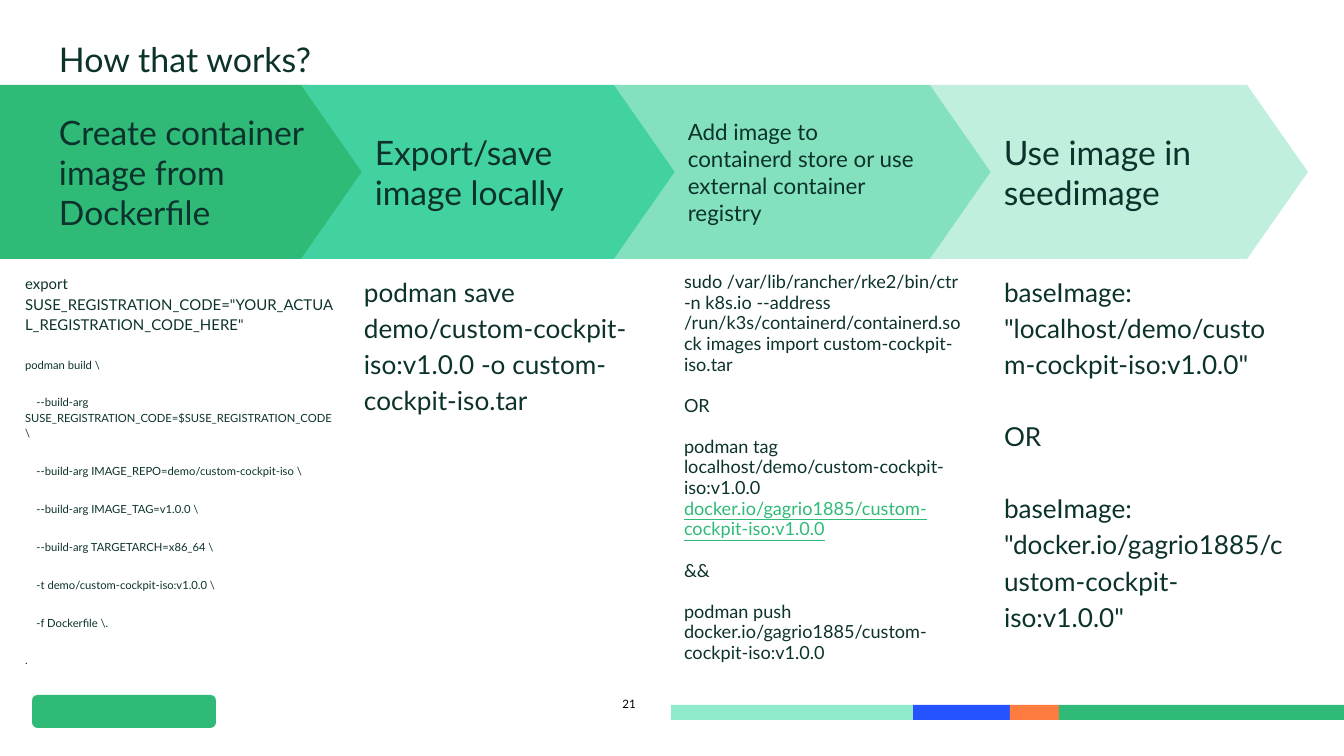
import pptx
import pptx.util
import pptx.dml.color
import pptx.enum.shapes
import pptx.enum.text

PX = 914400 / 134.4
INSET = 13
COLORS = {
    "ink": "0C322C", "black": "000000", "green": "30BA78", "jade": "42D29F",
    "mint": "83E1BE", "pale": "C0EFDE", "aqua": "90EBCD", "blue": "2453FF",
    "orange": "FE7C3F",
}
SHAPES = pptx.enum.shapes.MSO_SHAPE
ALIGN = pptx.enum.text.PP_ALIGN
ANCHOR = pptx.enum.text.MSO_ANCHOR

deck = pptx.Presentation()
deck.slide_width, deck.slide_height = round(1344 * PX), round(756 * PX)
page = deck.slides.add_slide(deck.slide_layouts[6])


def add_block(left, top, width, height, kind=None, color=None):
    """Add a filled preset shape, or a plain text box when no kind is given."""
    frame = [round(value * PX) for value in (left, top, width, height)]
    if kind is None:
        block = page.shapes.add_textbox(*frame)
    else:
        block = page.shapes.add_shape(kind, *frame)
        block.shadow.inherit = False
        block.fill.solid()
        block.fill.fore_color.rgb = pptx.dml.color.RGBColor.from_string(COLORS[color])
        block.line.fill.background()
    return block


def write(block, paragraphs, spacing=1.0, gap=0, anchor=ANCHOR.TOP, align=ALIGN.LEFT):
    """Fill a block with paragraphs, each a list of (text, size, color) runs."""
    box = block.text_frame
    box.word_wrap = True
    box.vertical_anchor = anchor
    box.margin_left = box.margin_right = round(INSET * PX)
    box.margin_top = box.margin_bottom = round(INSET * PX)
    for index, runs in enumerate(paragraphs):
        para = box.add_paragraph() if index else box.paragraphs[0]
        para.alignment = align
        para.line_spacing = spacing
        if index:
            para.space_before = pptx.util.Pt(gap)
        for text, size, color in runs:
            span = para.add_run()
            span.text = text
            span.font.name = "Lato"
            span.font.size = pptx.util.Pt(size)
            span.font.color.rgb = pptx.dml.color.RGBColor.from_string(COLORS[color])
            if color == "green":
                span.font.underline = True


# Footer: colour bar, logo placeholder and page number
bar_stops = [671, 913, 1010, 1059, 1344]
for left, right, color in zip(bar_stops, bar_stops[1:], ["aqua", "blue", "orange", "green"]):
    add_block(left, 705, right - left, 15, SHAPES.RECTANGLE, color)
add_block(32, 695, 184, 33, SHAPES.ROUNDED_RECTANGLE, "green")
write(add_block(569, 694, 80, 39), [[("21", 6.2, "black")]], spacing=0.8, align=ALIGN.RIGHT)

write(add_block(46, 26, 1252, 59), [[("How that works?", 18.2, "ink")]])

# Process steps
steps = [
    (0, 368, SHAPES.PENTAGON, "green", 18, "Create container image from Dockerfile"),
    (301, 378, SHAPES.CHEVRON, "jade", 18, "Export/save image locally"),
    (614, 378, SHAPES.CHEVRON, "mint", 12,
     "Add image to containerd store or use external container registry"),
    (930, 378, SHAPES.CHEVRON, "pale", 18, "Use image in seedimage"),
]
for left, width, kind, color, size, label in steps:
    step = add_block(left, 85, width, 174, kind, color)
    step.adjustments[0] = 0.35
    write(step, [[(label, size, "ink")]], anchor=ANCHOR.MIDDLE)
    if kind == SHAPES.PENTAGON:
        step.text_frame.margin_left = round((46 + INSET) * PX)

# Commands below each step
build_lines = [
    "podman build \\",
    "    --build-arg SUSE_REGISTRATION_CODE=$SUSE_REGISTRATION_CODE \\",
    "    --build-arg IMAGE_REPO=demo/custom-cockpit-iso \\",
    "    --build-arg IMAGE_TAG=v1.0.0 \\",
    "    --build-arg TARGETARCH=x86_64 \\",
    "    -t demo/custom-cockpit-iso:v1.0.0 \\",
    "    -f Dockerfile \\.",
    ".",
]
build = [[('export SUSE_REGISTRATION_CODE="YOUR_ACTUAL_REGISTRATION_CODE_HERE"', 8, "ink")]]
build += [[(line, 6, "ink")] for line in build_lines]

save = [[("podman save demo/custom-cockpit-iso:v1.0.0 -o custom-cockpit-iso.tar", 14, "ink")]]

store = [
    [("sudo /var/lib/rancher/rke2/bin/ctr -n k8s.io --address "
      "/run/k3s/containerd/containerd.sock images import custom-cockpit-iso.tar", 9.7, "ink")],
    [("OR", 9.7, "ink")],
    [("podman tag localhost/demo/custom-cockpit-iso:v1.0.0 ", 9.7, "ink"),
     ("docker.io/gagrio1885/custom-cockpit-iso:v1.0.0", 9.7, "green")],
    [("&&", 9.7, "ink")],
    [("podman push docker.io/gagrio1885/custom-cockpit-iso:v1.0.0", 9.7, "ink")],
]

use_lines = [
    'baseImage: "localhost/demo/custom-cockpit-iso:v1.0.0"',
    "OR",
    'baseImage: "docker.io/gagrio1885/custom-cockpit-iso:v1.0.0"',
]
use = [[(line, 14, "ink")] for line in use_lines]

columns = [
    (12, 339, build, 1.15, 12),
    (351, 306, save, 1.15, 0),
    (671, 306, store, 0.95, 11),
    (991, 306, use, 1.15, 19.3),
]
for left, width, commands, spacing, gap in columns:
    write(add_block(left, 259, width, 425), commands, spacing, gap)

deck.save("out.pptx")
